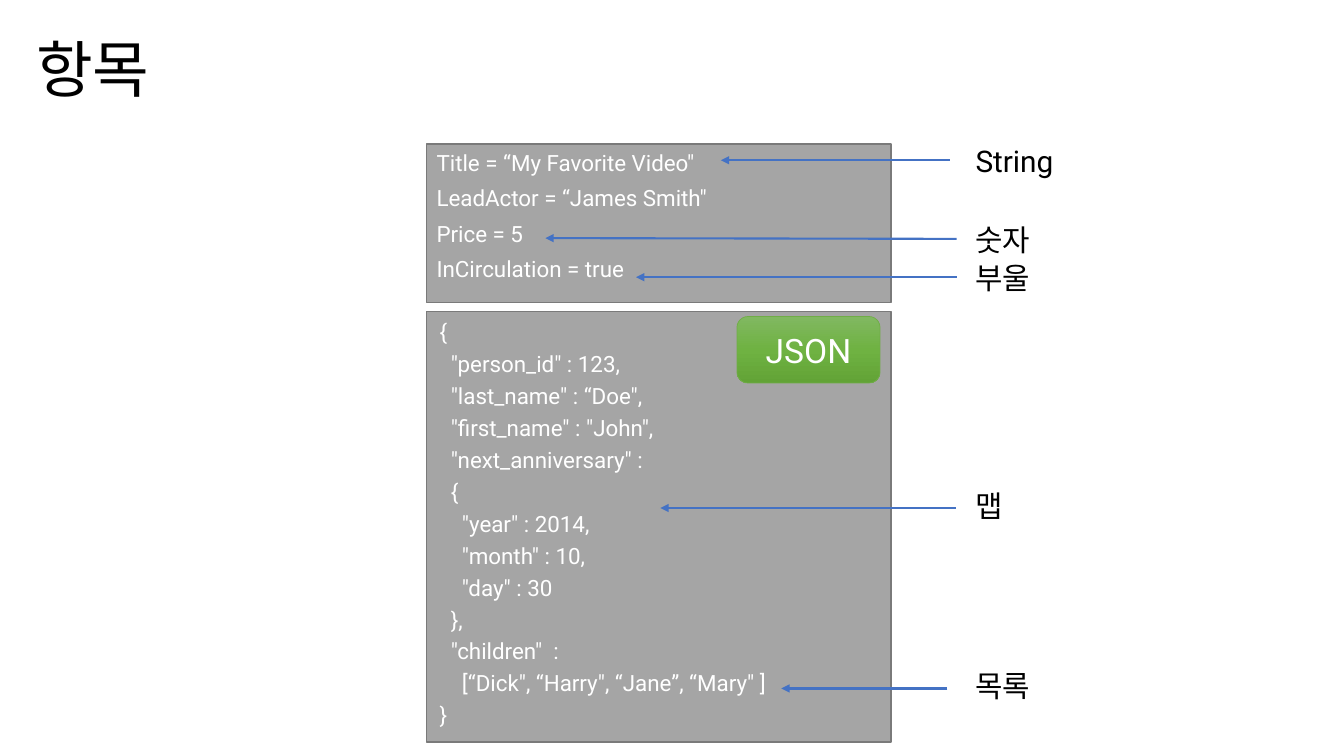
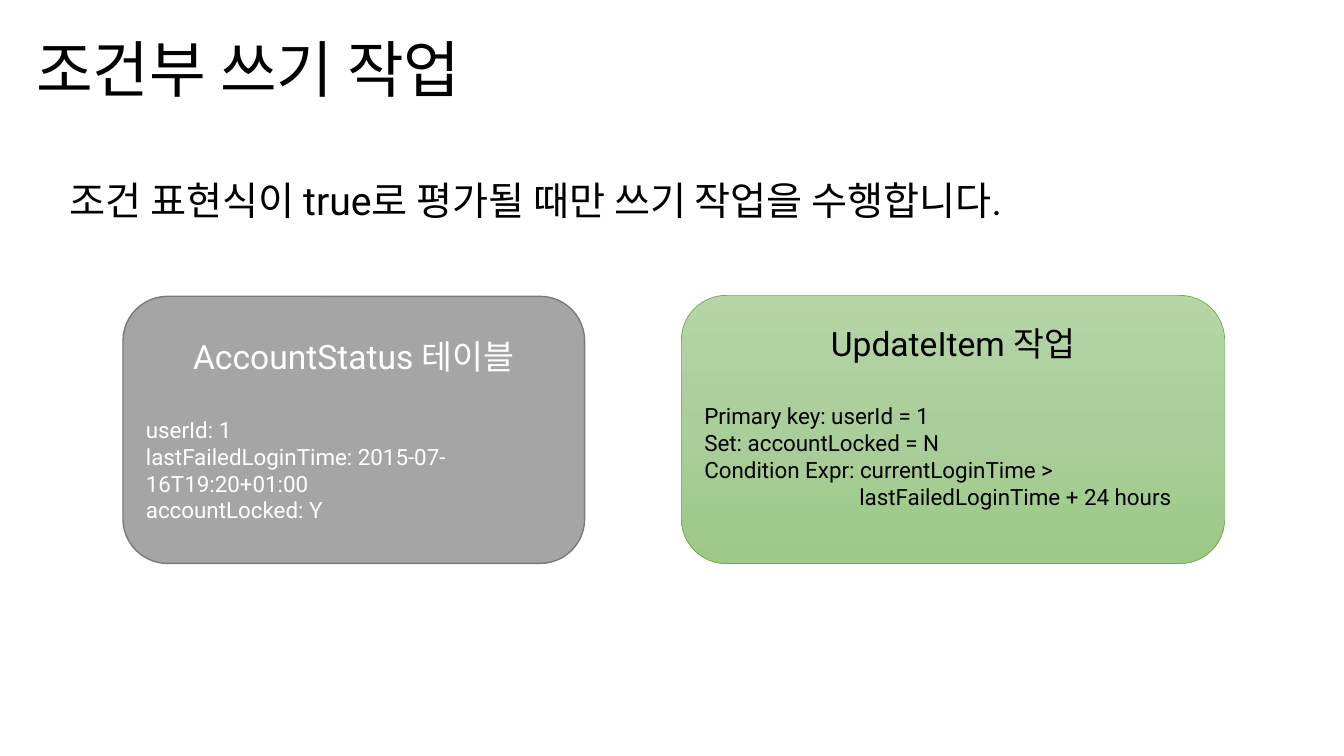
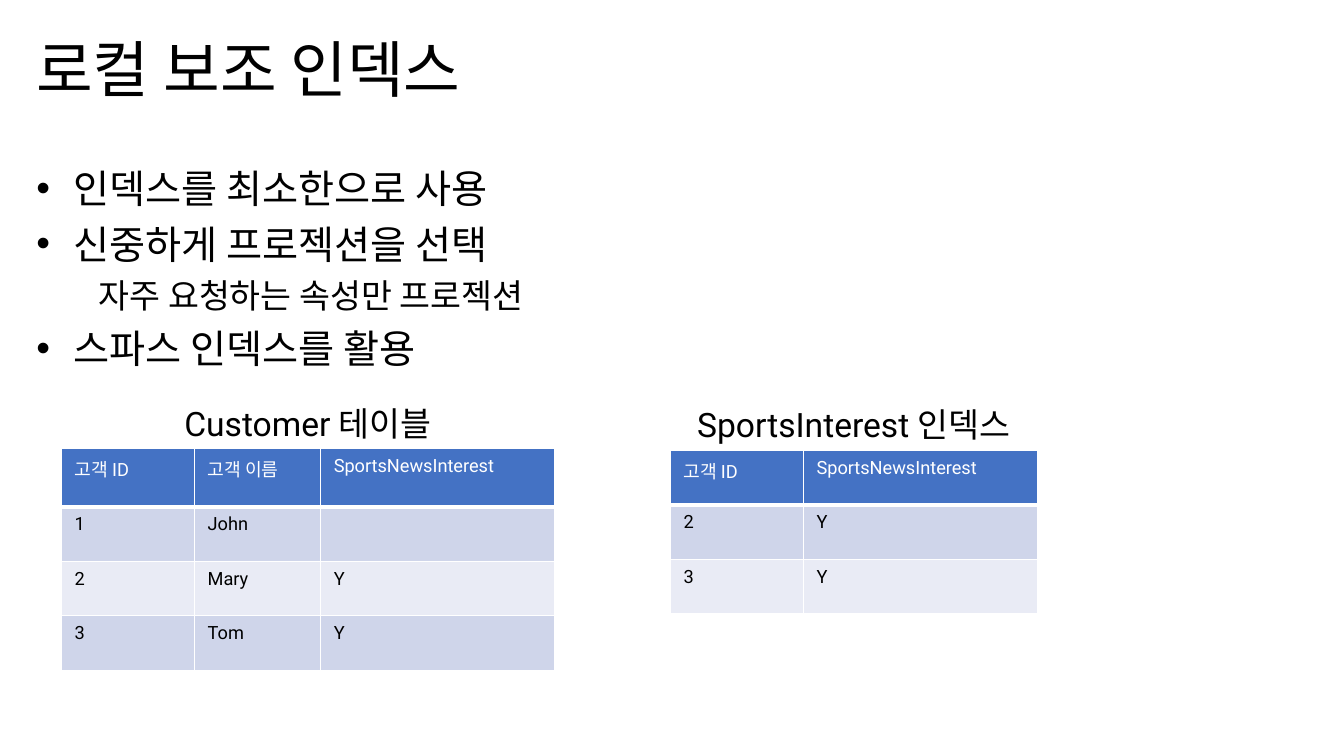
from dataclasses import dataclass, replace
from typing import Any, Optional

import lxml.etree
import pptx
import pptx.dml.color
import pptx.enum.shapes
import pptx.enum.text
import pptx.oxml.ns
import pptx.util

Pt = pptx.util.Pt
SHAPE = pptx.enum.shapes.MSO_SHAPE
ALIGN = pptx.enum.text.PP_ALIGN
ANCHOR = pptx.enum.text.MSO_ANCHOR
AUTO_SIZE = pptx.enum.text.MSO_AUTO_SIZE
qn = pptx.oxml.ns.qn

# Shared look: a grid of 100 columns by 100 rows, one font, one palette
FONT = "Roboto"
WIDTH, HEIGHT = pptx.util.Inches(13.333), pptx.util.Inches(7.5)
COLORS = {
    "black": "000000", "white": "FFFFFF", "blue": "4472C4",
    "gray": "A5A5A5", "gray edge": "7A7A7A", "green edge": "70AD47",
    "band": "CFD5EA", "light band": "E9EBF5",
}
VIVID_GREEN = ("81B861", "6FB242", "62A336")
PALE_GREEN = ("B5D5A7", "AACE9A", "9CC987")


def cols(count: float) -> int:
    return round(WIDTH * count / 100)


def rows(count: float) -> int:
    return round(HEIGHT * count / 100)


def rgb(name: str) -> pptx.dml.color.RGBColor:
    return pptx.dml.color.RGBColor.from_string(COLORS[name])


@dataclass(frozen=True)
class Area:
    left: float
    top: float
    width: float
    height: float

    def emu(self) -> tuple[int, int, int, int]:
        return cols(self.left), rows(self.top), cols(self.width), rows(self.height)


@dataclass(frozen=True)
class Line:
    text: str
    size: float = 16
    color: str = "black"
    align: Any = ALIGN.LEFT
    before: float = 0
    after: float = 0
    spacing: float = 1
    indent: float = 0
    bullet: bool = False
    level: int = 0


@dataclass(frozen=True)
class Callout:
    text: str
    top: float
    width: float
    start: tuple[float, float]
    end: tuple[float, float]


@dataclass(frozen=True)
class Grid:
    caption: str
    caption_top: float
    left: float
    top: float
    widths: tuple[float, ...]
    heights: tuple[float, ...]
    records: tuple[tuple[str, ...], ...]


TITLE_AREA = Area(1.95, 3.87, 91.2, 11.33)


# Text
def write(frame: Any, lines: list[Line], anchor: Any = ANCHOR.TOP,
          auto_size: Any = AUTO_SIZE.NONE) -> None:
    frame.word_wrap = True
    frame.auto_size = auto_size
    frame.vertical_anchor = anchor
    for index, line in enumerate(lines):
        paragraph = frame.paragraphs[0] if index == 0 else frame.add_paragraph()
        paragraph.text = line.text
        paragraph.level = line.level
        paragraph.alignment = line.align
        paragraph.line_spacing = line.spacing
        paragraph.space_before, paragraph.space_after = Pt(line.before), Pt(line.after)
        properties = paragraph._p.get_or_add_pPr()
        properties.set("marL", str(cols(line.indent)))
        properties.set("indent", str(-cols(line.indent) if line.bullet else 0))
        if line.bullet:
            lxml.etree.SubElement(properties, qn("a:buChar"), char="•")
        else:
            lxml.etree.SubElement(properties, qn("a:buNone"))
        font = paragraph.font
        font.name, font.size, font.bold = FONT, Pt(line.size), False
        font.color.rgb = rgb(line.color)


def inset(target: Any) -> None:
    target.margin_left = target.margin_right = cols(0.98)
    target.margin_top = target.margin_bottom = rows(0.93)


# Fills and shapes
def paint_gray(shape: Any) -> None:
    shape.fill.solid()
    shape.fill.fore_color.rgb = rgb("gray")
    shape.line.color.rgb = rgb("gray edge")
    shape.line.width = Pt(1)


def paint_green(shape: Any, shades: tuple[str, ...]) -> None:
    shape.fill.gradient()
    shape.fill.gradient_angle = 270
    stops = shape._element.spPr.find(".//" + qn("a:gsLst"))
    for stop in list(stops):
        stops.remove(stop)
    for index, shade in enumerate(shades):
        stop = lxml.etree.SubElement(stops, qn("a:gs"), pos=str(index * 50000))
        lxml.etree.SubElement(stop, qn("a:srgbClr"), val=shade)
    shape.line.color.rgb = rgb("green edge")
    shape.line.width = Pt(0.5)


def add_box(slide: Any, kind: Any, area: Area) -> Any:
    shape = slide.shapes.add_shape(kind, *area.emu())
    shape.shadow.inherit = False
    return shape


def add_label(slide: Any, area: Area, line: Line) -> None:
    label = slide.shapes.add_textbox(*area.emu())
    write(label.text_frame, [line], auto_size=AUTO_SIZE.SHAPE_TO_FIT_TEXT)


def add_callout(slide: Any, callout: Callout) -> None:
    (x1, y1), (x2, y2) = callout.start, callout.end
    arrow = slide.shapes.add_connector(
        pptx.enum.shapes.MSO_CONNECTOR.STRAIGHT, cols(x1), rows(y1), cols(x2), rows(y2))
    arrow.line.color.rgb = rgb("blue")
    arrow.line.width = Pt(1.5)
    lxml.etree.SubElement(arrow.line._get_or_add_ln(), qn("a:tailEnd"), type="triangle")
    lxml.etree.SubElement(arrow._element.spPr, qn("a:effectLst"))
    add_label(slide, Area(71.85, callout.top, callout.width, 6.13),
              Line(callout.text, 21.3))


# Tables
def set_borders(cell: Any, header: bool) -> None:
    properties = cell._tc.get_or_add_tcPr()
    for index, side in enumerate(("lnL", "lnR", "lnT", "lnB")):
        points = 3 if header and side == "lnB" else 1
        edge = lxml.etree.Element(qn("a:" + side), w=str(Pt(points)))
        fill = lxml.etree.SubElement(edge, qn("a:solidFill"))
        lxml.etree.SubElement(fill, qn("a:srgbClr"), val=COLORS["white"])
        properties.insert(index, edge)


def add_grid(slide: Any, grid: Grid) -> None:
    width = sum(grid.widths)
    area = Area(grid.left, grid.top, width, sum(grid.heights))
    table = slide.shapes.add_table(
        len(grid.heights), len(grid.widths), *area.emu()).table
    for column, share in zip(table.columns, grid.widths):
        column.width = cols(share)
    for number, (row, share, record) in enumerate(
            zip(table.rows, grid.heights, grid.records)):
        row.height = rows(share)
        header = number == 0
        band = "blue" if header else ("light band", "band")[number % 2]
        for cell, value in zip(row.cells, record):
            cell.fill.solid()
            cell.fill.fore_color.rgb = rgb(band)
            set_borders(cell, header)
            inset(cell)
            if value:
                write(cell.text_frame, [Line(value, 13, "white" if header else "black")])
    add_label(slide, Area(grid.left, grid.caption_top, width, 6.67),
              Line(grid.caption, 24, align=ALIGN.CENTER))


# Slides with the common title and a body
def add_slide(deck: Any, heading: str, body_area: Area, lines: list[Line]) -> Any:
    slide = deck.slides.add_slide(deck.slide_layouts[1])
    title, body = slide.shapes.title, slide.placeholders[1]
    for holder, area in ((title, TITLE_AREA), (body, body_area)):
        holder.left, holder.top, holder.width, holder.height = area.emu()
    write(title.text_frame, [Line(heading, 44, spacing=0.9)], ANCHOR.MIDDLE)
    write(body.text_frame, [replace(line, after=6) for line in lines])
    return slide


def build_items(deck: Any) -> None:
    attributes = ("Title = “My Favorite Video\"", "LeadActor = “James Smith\"",
                  "Price = 5", "InCirculation = true")
    slide = add_slide(deck, "항목", Area(31.73, 19.07, 34.58, 20.93),
                      [Line(text, color="white") for text in attributes])
    paint_gray(slide.placeholders[1])

    # JSON document: nesting depth and text
    document = (
        (0, "{"), (1, "\"person_id\" : 123,"), (1, "\"last_name\" : “Doe\","),
        (1, "\"first_name\" : \"John\","), (1, "\"next_anniversary\" :"), (1, "{"),
        (2, "\"year\" : 2014,"), (2, "\"month\" : 10,"), (2, "\"day\" : 30"),
        (1, "},"), (1, "\"children\"  :"),
        (2, "[“Dick\", “Harry\", “Jane”, “Mary\" ]"), (0, "}"),
    )
    json_box = add_box(slide, SHAPE.RECTANGLE, Area(31.73, 41.2, 34.58, 56.93))
    paint_gray(json_box)
    inset(json_box.text_frame)
    write(json_box.text_frame, [Line(text, color="white", before=3.6, indent=depth * 0.83)
                                for depth, text in document])
    badge = add_box(slide, SHAPE.ROUNDED_RECTANGLE, Area(54.83, 41.87, 10.65, 8.8))
    paint_green(badge, VIVID_GREEN)
    write(badge.text_frame, [Line("JSON", 24, "white", ALIGN.CENTER)], ANCHOR.MIDDLE)

    # Data types pointing at their values
    for callout in (
        Callout("String", 18.27, 10.5, (70.65, 21.2), (53.63, 21.2)),
        Callout("숫자", 28.67, 8.55, (71.18, 31.6), (40.58, 31.5)),
        Callout("부울", 33.73, 8.55, (71.18, 36.67), (47.33, 36.67)),
        Callout("맵", 63.87, 5.4, (71.1, 67.2), (49.13, 67.2)),
        Callout("목록", 87.73, 7.13, (70.5, 91.07), (58.13, 91.07)),
    ):
        add_callout(slide, callout)


def build_conditional_writes(deck: Any) -> None:
    slide = add_slide(
        deck, "조건부 쓰기 작업", Area(4.43, 22.67, 92.48, 71.6),
        [Line("조건 표현식이 true로 평가될 때만 쓰기 작업을 수행합니다.", 28)])

    # Stored item
    status = add_box(slide, SHAPE.ROUNDED_RECTANGLE, Area(9.15, 39.2, 34.35, 35.33))
    paint_gray(status)
    write(status.text_frame, [
        Line("AccountStatus 테이블", 24, "white", ALIGN.CENTER),
        Line("userId: 1", color="white", before=28),
        Line("lastFailedLoginTime: 2015-07-16T19:20+01:00", color="white"),
        Line("accountLocked: Y", color="white"),
    ], ANCHOR.MIDDLE)

    # Update request
    update = add_box(slide, SHAPE.ROUNDED_RECTANGLE, Area(50.7, 39.07, 40.43, 35.47))
    paint_green(update, PALE_GREEN)
    update.text_frame.margin_bottom = rows(4.13)
    write(update.text_frame, [
        Line("UpdateItem 작업", 24, align=ALIGN.CENTER),
        Line("Primary key: userId = 1", before=28),
        Line("Set: accountLocked = N"),
        Line("Condition Expr: currentLoginTime >"),
        Line("lastFailedLoginTime + 24 hours", indent=11.53),
    ], ANCHOR.MIDDLE)


def build_local_indexes(deck: Any) -> None:
    point = Line("", 28, indent=2.78, bullet=True)
    slide = add_slide(deck, "로컬 보조 인덱스", Area(1.95, 21.07, 86.25, 71.6), [
        replace(point, text="인덱스를 최소한으로 사용"),
        replace(point, text="신중하게 프로젝션을 선택"),
        Line("자주 요청하는 속성만 프로젝션", 24, indent=4.65, level=1),
        replace(point, text="스파스 인덱스를 활용"),
    ])
    add_grid(slide, Grid(
        "Customer 테이블", 52.67, 4.58, 59.33, (9.9, 9.38, 17.4), (7.73, 7.2, 7.2, 7.2),
        (("고객 ID", "고객 이름", "SportsNewsInterest"),
         ("1", "John", ""), ("2", "Mary", "Y"), ("3", "Tom", "Y"))))
    add_grid(slide, Grid(
        "SportsInterest 인덱스", 52.8, 49.88, 59.6, (9.9, 17.4), (7.2, 7.2, 7.2),
        (("고객 ID", "SportsNewsInterest"), ("2", "Y"), ("3", "Y"))))


deck = pptx.Presentation()
deck.slide_width, deck.slide_height = WIDTH, HEIGHT
build_items(deck)
build_conditional_writes(deck)
build_local_indexes(deck)
deck.save("out.pptx")
